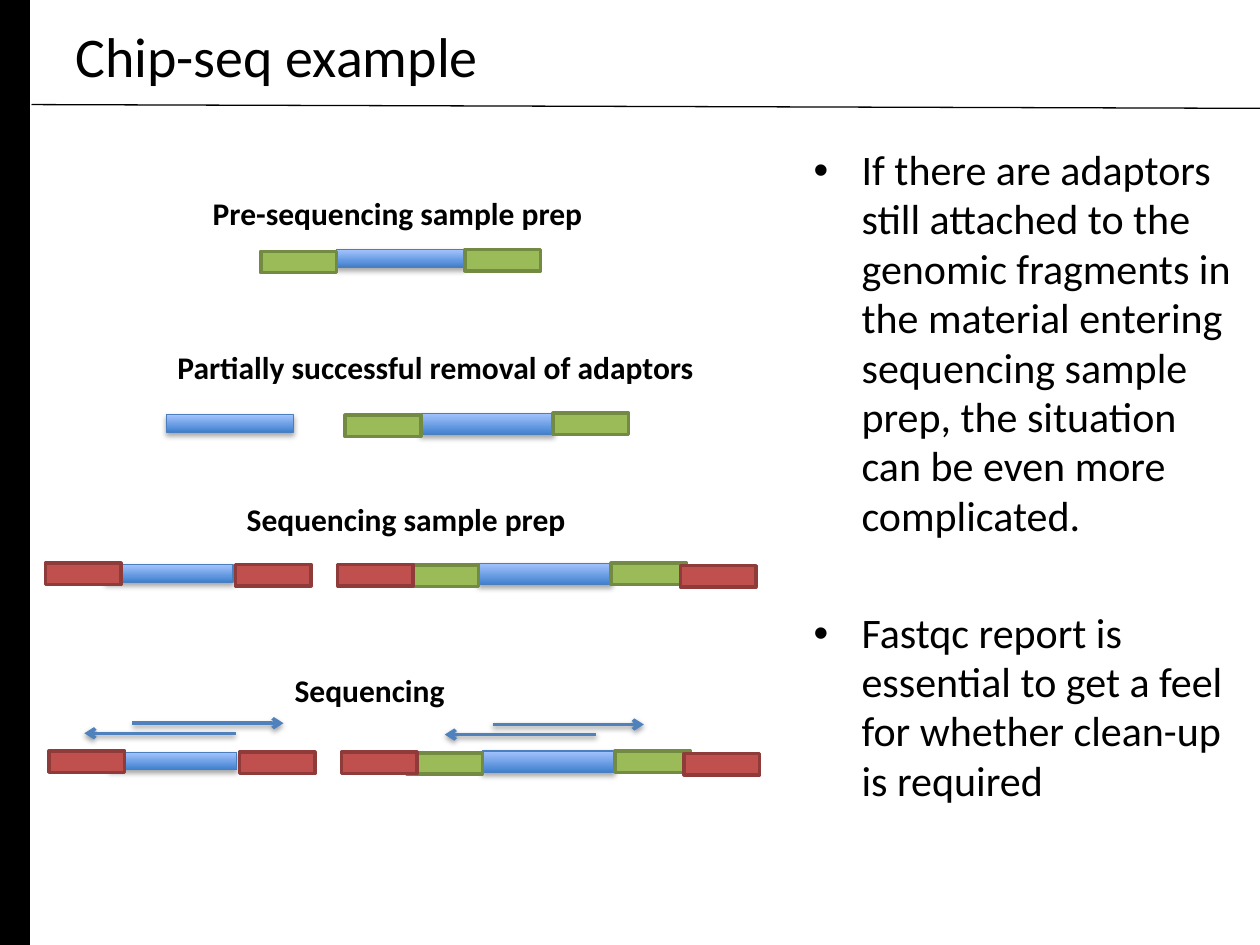
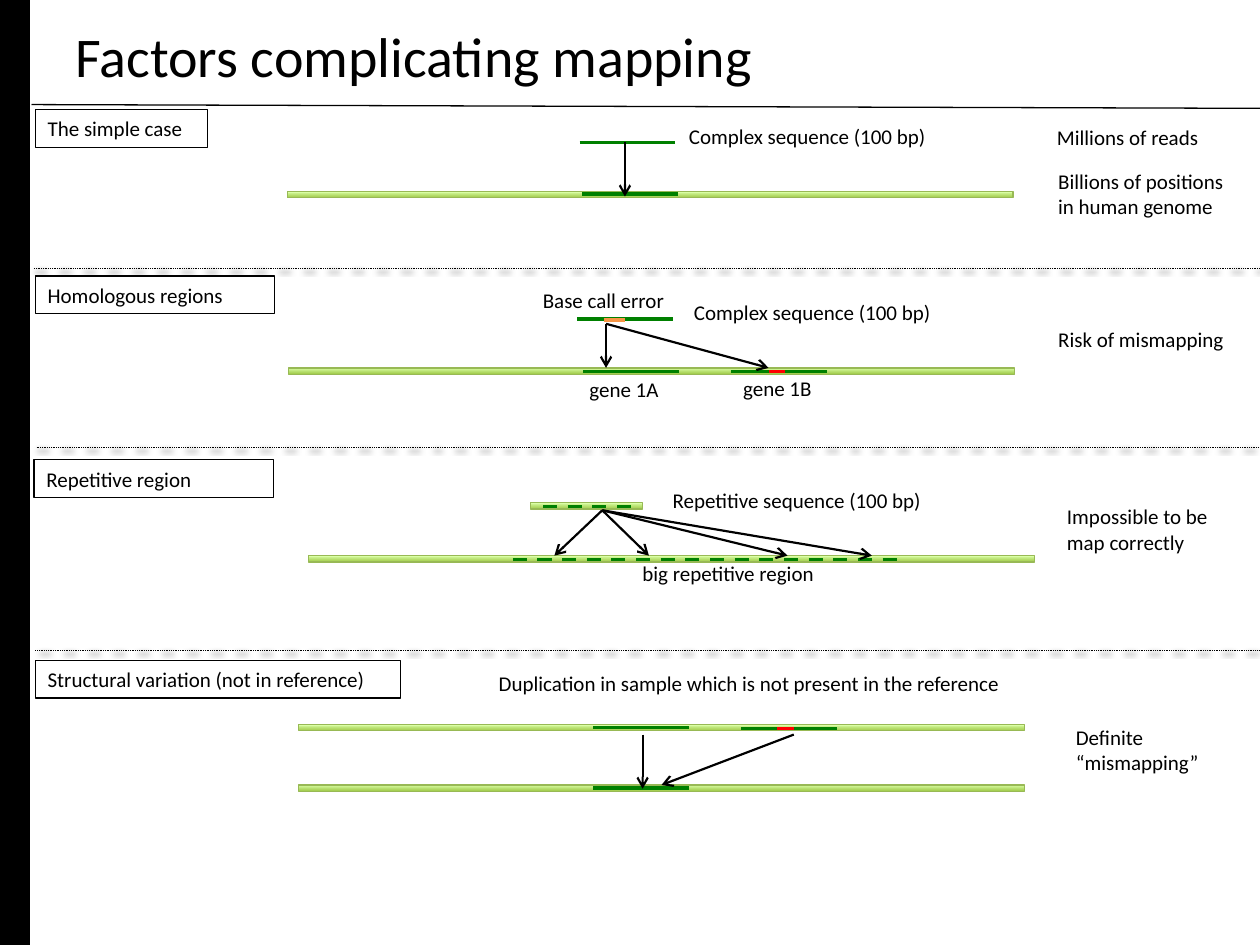
from dataclasses import dataclass

from lxml.etree import SubElement
from pptx import Presentation
from pptx.dml.color import RGBColor as RGB
from pptx.enum.dml import MSO_LINE
from pptx.enum.shapes import MSO_CONNECTOR, MSO_SHAPE
from pptx.enum.text import MSO_ANCHOR, MSO_AUTO_SIZE
from pptx.oxml.ns import qn
from pptx.util import Inches, Pt


@dataclass(frozen=True)
class Theme:
    font: str = "Calibri"
    title_size: float = 32
    body_size: float = 24
    heading_size: float = 18
    label_size: float = 12
    black: str = "000000"
    # Block styles: (fill or bottom and top gradient colours, line, line width)
    band: tuple = ("000000", "000000", 0.75)
    insert: tuple = (("3F80CE", "A4C4FF"), "4B7EBC", 0.75)
    genome: tuple = (("A0CA4A", "DAFFA5"), "98B955", 0.75)
    adaptor: tuple = ("9BBB59", "738A42", 2)
    primer: tuple = ("C0504D", "8E3B39", 2)
    read: str = "4F81BD"
    sequence: str = "008000"
    mismatch: str = "FF0000"
    call_error: str = "F79646"
    # Shadows: (opacity in percent, distance in points)
    insert_shadow: tuple = (35, 1.8)
    line_shadow: tuple = (38, 1.6)


THEME = Theme()


def set_all(target, values):
    for name, value in values.items():
        setattr(target, name, value)


def add_shadow(shape, opacity, distance):
    """Put a downward shadow in the shape's effect list."""
    effects = shape.element.spPr.find(qn("a:effectLst"))
    shadow = SubElement(effects, qn("a:outerShdw"), blurRad=str(Pt(3.1)),
                        dist=str(Pt(distance)), dir="5400000", rotWithShape="0")
    color = SubElement(shadow, qn("a:srgbClr"), val=THEME.black)
    SubElement(color, qn("a:alpha"), val=str(opacity * 1000))


class Deck:
    def __init__(self, theme):
        self.theme = theme
        self.presentation = Presentation()
        set_all(self.presentation, {"slide_width": Inches(10), "slide_height": Inches(7.5)})
        self.slide = None

    def new_slide(self, title):
        self.slide = self.presentation.slides.add_slide(self.presentation.slide_layouts[6])
        self.block(self.theme.band, -0.01, 0, 0.24, 7.5)
        self.line((0.25, 0.83), (10.01, 0.86), self.theme.black, 0.75)
        self.text([title], 0.5, 0.04, 9, 0.8, self.theme.title_size, anchor=MSO_ANCHOR.MIDDLE)

    def block(self, style, left, top, width, height, shadow=None):
        fill, line_color, line_width = style
        shape = self.slide.shapes.add_shape(
            MSO_SHAPE.RECTANGLE, *map(Inches, (left, top, width, height)))
        shape.shadow.inherit = False
        if isinstance(fill, tuple):
            shape.fill.gradient()
            shape.fill.gradient_angle = 90
            for stop, color in zip(shape.fill.gradient_stops, fill):
                stop.color.rgb = RGB.from_string(color)
        else:
            shape.fill.solid()
            shape.fill.fore_color.rgb = RGB.from_string(fill)
        self.outline(shape.line, line_color, line_width)
        if shadow:
            add_shadow(shape, *shadow)

    def outline(self, line, color, width):
        line.color.rgb = RGB.from_string(color)
        line.width = Pt(width)

    def line(self, start, end, color, width, dash=None, arrow=False, shadow=None):
        connector = self.slide.shapes.add_connector(
            MSO_CONNECTOR.STRAIGHT, *map(Inches, (*start, *end)))
        self.outline(connector.line, color, width)
        if dash:
            connector.line.dash_style = dash
        properties = connector.element.spPr
        if arrow:
            SubElement(properties.find(qn("a:ln")), qn("a:tailEnd"), type="arrow")
        SubElement(properties, qn("a:effectLst"))
        if shadow:
            add_shadow(connector, *shadow)

    def text(self, lines, left, top, width, height, size, bold=False, anchor=MSO_ANCHOR.TOP,
             bullets=False, boxed=False):
        box = self.slide.shapes.add_textbox(*map(Inches, (left, top, width, height)))
        frame = box.text_frame
        set_all(frame, {"word_wrap": True, "auto_size": MSO_AUTO_SIZE.NONE,
                        "vertical_anchor": anchor})
        if boxed:
            self.outline(box.line, self.theme.black, 0.75)
        for index, line in enumerate(lines):
            paragraph = frame.paragraphs[0] if index == 0 else frame.add_paragraph()
            paragraph.text = line
            if bullets:
                self.bullet(paragraph, index)
                frame.margin_right = Inches(0.05)
            set_all(paragraph.font, {"name": self.theme.font, "size": Pt(size), "bold": bold})
            paragraph.font.color.rgb = RGB.from_string(self.theme.black)

    def bullet(self, paragraph, index):
        paragraph.line_spacing = 0.98
        paragraph.space_before = Pt(38.5 if index else 0)
        properties = paragraph._p.get_or_add_pPr()
        properties.set("marL", str(Inches(0.38)))
        properties.set("indent", str(-Inches(0.38)))
        SubElement(properties, qn("a:buFont"), typeface="Arial")
        SubElement(properties, qn("a:buChar"), char="•")

    def heading(self, text, left, top, width):
        self.text([text], left, top, width, 0.4, self.theme.heading_size, bold=True)

    def label(self, text, left, top, width, height=0.3, boxed=False):
        self.text([text], left, top, width, height, self.theme.label_size, boxed=boxed)

    def insert(self, left, top, width=1.01, height=0.14):
        self.block(self.theme.insert, left, top, width, height, self.theme.insert_shadow)

    def end_piece(self, style, left, top):
        self.block(style, left, top, 0.6, 0.17)

    def adapted_insert(self, left, top, width=1.05, height=0.17):
        """Genomic insert with an adaptor still attached on either side."""
        self.insert(left, top, width, height)
        self.end_piece(self.theme.adaptor, left + width, top)
        self.end_piece(self.theme.adaptor, left - 0.6, top + 0.015)

    def sequencing_pair(self, left, top):
        """A clean fragment and an adapted one, both with sequencing primers."""
        self.adapted_insert(left + 3.44, top)
        self.insert(left + 0.48, top + 0.01)
        for offset, drop in ((0, 0), (1.51, 0.01), (2.32, 0.01), (5.04, 0.02)):
            self.end_piece(self.theme.primer, left + offset, top + drop)

    def read_pair(self, left, top):
        """Opposed reads, the forward one above and to the right."""
        options = {"color": self.theme.read, "width": 2, "arrow": True,
                   "shadow": self.theme.line_shadow}
        self.line((left + 0.38, top), (left + 1.58, top), **options)
        self.line((left + 1.2, top + 0.08), (left, top + 0.08), **options)

    def genome(self, left, top, width=5.76):
        self.block(self.theme.genome, left, top, width, 0.05)

    def sequence(self, left, y, length=0.76, color=THEME.sequence, dash=None):
        self.line((left, y), (left + length, y), color, 2, dash)

    def mapping(self, start, end):
        self.line(start, end, self.theme.black, 1.25, arrow=True)

    def divider(self, left, y):
        self.line((left, y), (left + 9.73, y), self.theme.black, 0.5,
                  MSO_LINE.ROUND_DOT, shadow=self.theme.line_shadow)


def chip_seq_slide(deck):
    deck.new_slide("Chip-seq example")
    deck.text(
        ["If there are adaptors still attached to the genomic fragments in the material "
         "entering sequencing sample prep, the situation can be even more complicated.",
         "Fastqc report is essential to get a feel for whether clean-up is required"],
        6.36, 1.11, 3.51, 5.7, deck.theme.body_size, bullets=True)
    for heading in (("Pre-sequencing sample prep", 1.59, 1.49, 3.57),
                    ("Partially successful removal of adaptors", 1.31, 2.71, 4.46),
                    ("Sequencing sample prep", 1.86, 3.92, 2.96),
                    ("Sequencing", 2.24, 5.28, 2.96)):
        deck.heading(*heading)
    deck.adapted_insert(2.67, 1.98, 1.02, 0.14)
    deck.adapted_insert(3.34, 3.28)
    deck.insert(1.32, 3.29)
    deck.sequencing_pair(0.36, 4.47)
    deck.sequencing_pair(0.39, 5.96)
    deck.read_pair(0.67, 5.74)
    deck.read_pair(3.53, 5.75)


def mapping_slide(deck):
    theme = deck.theme
    deck.new_slide("Factors complicating mapping")
    for left, y in ((0.27, 2.13), (0.29, 3.55), (0.28, 5.16)):
        deck.divider(left, y)
    for case in (("The simple case", 0.28, 0.87, 1.37),
                 ("Homologous regions", 0.28, 2.19, 1.9),
                 ("Repetitive region", 0.27, 3.65, 1.9),
                 ("Structural variation (not in reference)", 0.28, 5.24, 2.9)):
        deck.label(*case, boxed=True)

    # Simple case
    deck.genome(2.28, 1.52)
    deck.sequence(4.62, 1.54)
    deck.sequence(4.6, 1.13)
    deck.mapping((4.96, 1.13), (4.96, 1.56))

    # Homologous regions
    deck.genome(2.29, 2.92)
    for left, y in ((4.63, 2.95), (4.58, 2.53), (5.8, 2.95)):
        deck.sequence(left, y)
    deck.sequence(6.1, 2.95, 0.13, theme.mismatch)
    deck.sequence(4.79, 2.54, 0.17, theme.call_error)
    for target in (6.1, 4.81):
        deck.mapping((4.81, 2.57), (target, 2.92))

    # Repetitive region
    deck.genome(4.21, 3.99, 0.89)
    deck.genome(2.45, 4.41)
    deck.sequence(4.31, 4.02, dash=MSO_LINE.DASH)
    deck.sequence(4.07, 4.44, 3.05, dash=MSO_LINE.DASH)
    for target in (4.4, 5.15, 6.25, 6.92):
        deck.mapping((4.78, 4.05), (target, 4.41))

    # Structural variation
    for top in (5.75, 6.23):
        deck.genome(2.37, top)
        deck.sequence(4.71, top + 0.025)
    deck.sequence(5.88, 5.78)
    deck.sequence(6.17, 5.78, 0.13, theme.mismatch)
    deck.mapping((5.1, 5.83), (5.1, 6.26))
    deck.mapping((6.3, 5.83), (5.25, 6.23))

    for label in (("Complex sequence (100 bp)", 5.37, 0.93, 2.13),
                  ("Millions of reads", 8.29, 0.94, 1.56),
                  ("Billions of positions in human genome", 8.3, 1.29, 1.53, 0.5),
                  ("Base call error", 4.21, 2.23, 1.18),
                  ("Complex sequence (100 bp)", 5.41, 2.33, 2.13),
                  ("gene 1A", 4.58, 2.94, 0.77),
                  ("gene 1B", 5.8, 2.93, 0.77),
                  ("Risk of mismapping", 8.3, 2.54, 1.56),
                  ("Repetitive sequence (100 bp)", 5.24, 3.82, 2.89),
                  ("big repetitive region", 5, 4.4, 1.58),
                  ("Impossible to be map correctly", 8.37, 3.95, 1.56, 0.5),
                  ("Duplication in sample which is not present in the reference",
                   3.86, 5.27, 4.44),
                  ("Definite “mismapping”", 8.44, 5.7, 1.56, 0.5)):
        deck.label(*label)


def main():
    deck = Deck(THEME)
    chip_seq_slide(deck)
    mapping_slide(deck)
    deck.presentation.save("out.pptx")


if __name__ == "__main__":
    main()
